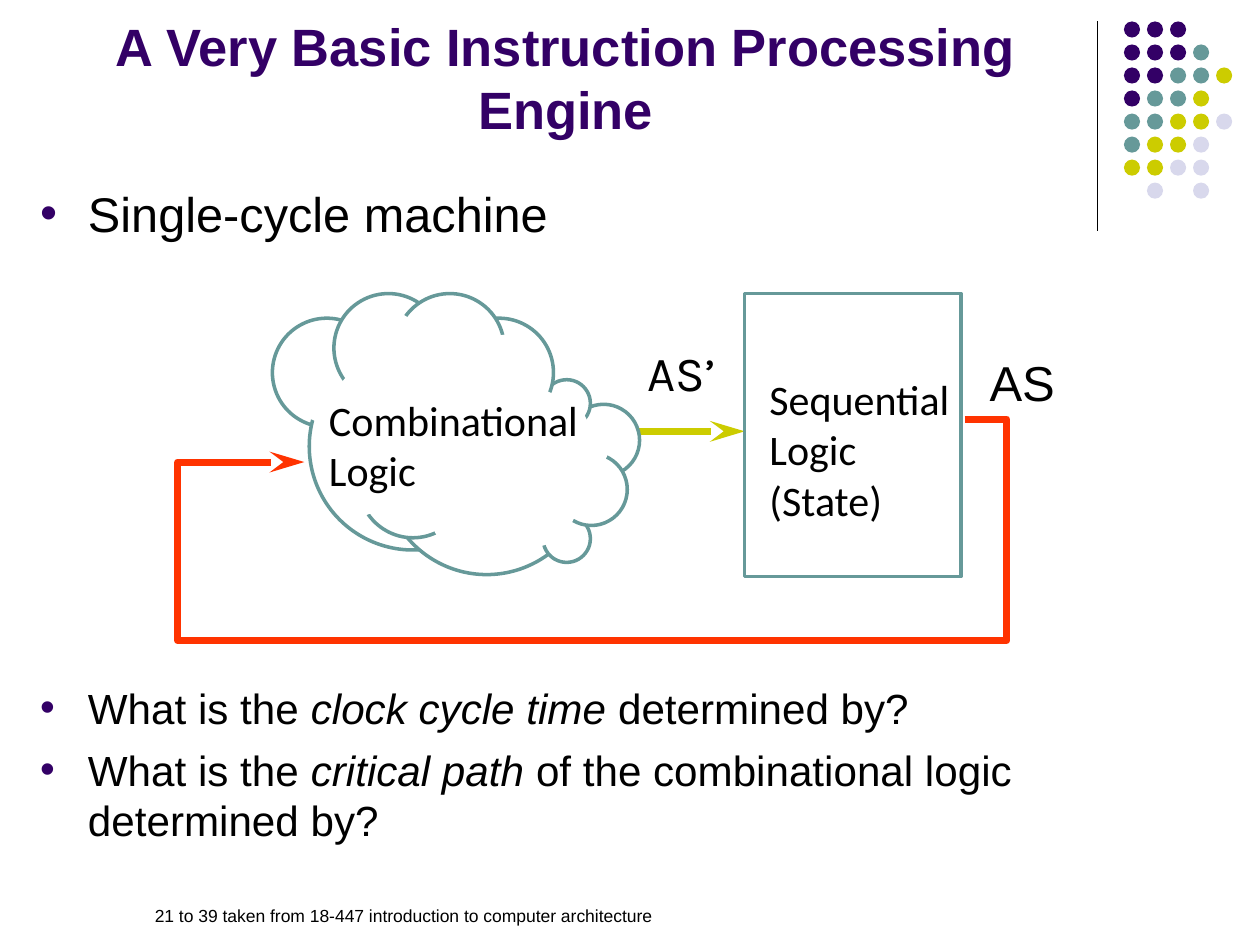
import pptx
import pptx.dml.color
import pptx.enum.shapes
import pptx.enum.text
import pptx.oxml
import pptx.oxml.ns
import pptx.util

WIDTH, HEIGHT = 10, 7.5
PURPLE, TEAL, LIME, LILAC = "330066", "669999", "CCCC00", "D8D8EC"
BLACK, WHITE, RED = "000000", "FFFFFF", "FF3300"
DOTS = ["PPP", "PPPT", "PPTTY", "PTTY", "TTYYL", "TYYL", "YYLL", " L L"]
DOT_COLORS = {"P": PURPLE, "T": TEAL, "Y": LIME, "L": LILAC}
DIAGRAM_COLS = 67.4
BACK_PUFFS = [(0, 2, 9), (3, 4, 17)]
FRONT_PUFFS = [(9, 6, 17), (24, 9, 6), (22, 18, 4), (22, 7, 4), (23, 13, 6),
               (5, 0, 9), (14, 2, 9), (10, 0, 9), (7, 11, 9)]
NECK = [(5.3, 6), (2.4, 9.9), (3.8, 10.5), (5.8, 6.4)]
CORE = [(10.3, 1.5), (14.3, 3.9), (19.2, 3.3), (22.3, 7.9), (23.1, 8.3), (25.3, 9.7),
        (25.9, 11), (27.3, 13), (27, 13.7), (23.6, 20), (21.3, 20.7), (13.6, 20.1),
        (13, 19), (7.9, 17.9), (7, 18.3), (5, 8)]
FEEDBACK = [(64, 10.2), (67.4, 10.2), (67.4, 28.2), (0, 28.2), (0, 13.7), (10.3, 13.7)]


def rgb(value):
    """Turn a hex string into a colour."""
    return pptx.dml.color.RGBColor.from_string(value)


def inches(*values):
    """Turn inch values into lengths."""
    return [pptx.util.Inches(v) for v in values]


def cells(box, cell, x, y, w=0, h=0):
    """Place a rectangle given in grid cells inside a box."""
    return box[0] + x * cell, box[1] + y * cell, w * cell, h * cell


def add_xml(parent, tag, **attrs):
    """Append a drawing element with attributes."""
    el = pptx.oxml.parse_xml(f"<a:{tag} {pptx.oxml.ns.nsdecls('a')}/>")
    for name, value in attrs.items():
        el.set(name, value)
    parent.append(el)
    return el


def style(sp, fill=None, line=None, width=2):
    """Set fill and outline without a shadow."""
    sp.shadow.inherit = False
    for part, color in ((sp.fill, fill), (sp.line.fill, line)):
        if color:
            part.solid()
            part.fore_color.rgb = rgb(color)
        else:
            part.background()
    if line:
        sp.line.width = pptx.util.Pt(width)


def add_shape(s, kind, box, **look):
    """Add a styled preset shape."""
    style(s.shapes.add_shape(kind, *inches(*box)), **look)


def add_path(s, points, closed, **look):
    """Add a styled outline through points in inches."""
    start, *rest = [tuple(inches(*p)) for p in points]
    fb = s.shapes.build_freeform(*start)
    fb.add_line_segments(rest, close=closed)
    sp = fb.convert_to_shape()
    style(sp, **look)
    return sp


def add_line(s, start, end, color, width):
    """Add a straight connector without a shadow."""
    kind = pptx.enum.shapes.MSO_CONNECTOR.STRAIGHT
    sp = s.shapes.add_connector(kind, *inches(*start, *end))
    sp.line.color.rgb = rgb(color)
    sp.line.width = pptx.util.Pt(width)
    add_xml(sp._element.spPr, "effectLst")
    return sp


def add_arrowhead(sp):
    """Give a line round joins and a long stealth head at its end."""
    ln = sp.line._get_or_add_ln()
    add_xml(ln, "round")
    add_xml(ln, "tailEnd", type="stealth", w="med", len="lg")


def add_text(s, box, paragraphs, size, font="Arial", color=BLACK, wrap=True, bold=False,
             align="LEFT", anchor="TOP", bullet=False, gap=0):
    """Write paragraphs, each a list of runs that alternate upright and italic."""
    tf = s.shapes.add_textbox(*inches(*box)).text_frame
    frame = {"word_wrap": wrap, "vertical_anchor": pptx.enum.text.MSO_ANCHOR[anchor]}
    for name, value in frame.items():
        setattr(tf, name, value)
    for i, runs in enumerate(paragraphs):
        p = tf.paragraphs[0] if i == 0 else tf.add_paragraph()
        p.alignment = pptx.enum.text.PP_ALIGN[align]
        p.space_before = pptx.util.Pt(gap if i else 0)
        if bullet:
            add_bullet(p)
        for j, text in enumerate(runs):
            r = p.add_run()
            r.text = text
            look = {"name": font, "size": pptx.util.Pt(size), "bold": bold, "italic": j % 2 == 1}
            for name, value in look.items():
                setattr(r.font, name, value)
            r.font.color.rgb = rgb(color)


def add_bullet(p):
    """Give a paragraph a hanging purple bullet."""
    pPr = p._p.get_or_add_pPr()
    indent = pptx.util.Inches(0.38)
    pPr.set("marL", str(indent))
    pPr.set("indent", str(-indent))
    add_xml(add_xml(pPr, "buClr"), "srgbClr", val=PURPLE)
    add_xml(pPr, "buFont", typeface="Arial")
    add_xml(pPr, "buChar", char="•")


def dot_ornament(s, box):
    """Draw the rule and the dot grid beside it."""
    x, y, w, h = box
    add_line(s, (x, y), (x, y + h), BLACK, 0.75)
    pitch = w / 5.8
    for row, codes in enumerate(DOTS):
        for col, code in enumerate(codes):
            if code in DOT_COLORS:
                dot = cells(box, pitch, col + 1.15, row, 0.7, 0.7)
                add_shape(s, pptx.enum.shapes.MSO_SHAPE.OVAL, dot, fill=DOT_COLORS[code])


def cloud(s, box, cell):
    """Draw a cloud of outlined puffs whose inner lines are covered."""
    for puffs, cover in ((BACK_PUFFS, NECK), (FRONT_PUFFS, CORE)):
        for x, y, size in puffs:
            puff = cells(box, cell, x, y, size - 0.15, size - 0.15)
            add_shape(s, pptx.enum.shapes.MSO_SHAPE.OVAL, puff, fill=WHITE, line=TEAL)
        add_path(s, [cells(box, cell, *p)[:2] for p in cover], True, fill=WHITE)


def machine_diagram(s, box):
    """Draw logic, state and the feedback between them."""
    cell = box[2] / DIAGRAM_COLS
    ends = [cells(box, cell, x, 11.2)[:2] for x in (36.7, 46.1)]
    add_arrowhead(add_line(s, *ends, LIME, 4))
    cloud(s, cells(box, cell, 7.7, 0, 30, 23), cell)
    points = [cells(box, cell, *p)[:2] for p in FEEDBACK]
    add_arrowhead(add_path(s, points, False, line=RED, width=4))
    state = cells(box, cell, 46.1, 0, 17.6, 23)
    add_shape(s, pptx.enum.shapes.MSO_SHAPE.RECTANGLE, state, line=TEAL)
    labels = [
        ((37.2, 3.5, 8.5, 5.8), ["AS’"], 28, "Karla"),
        ((65, 4.3, 7.4, 5.8), ["AS"], 28, "Arial"),
        ((47.1, 6, 16.7, 13.3), ["Sequential", "Logic", "(State)"], 24, "Calibri"),
        ((11.3, 7.7, 22.3, 9.2), ["Combinational", "Logic"], 24, "Calibri"),
    ]
    for place, lines, size, font in labels:
        add_text(s, cells(box, cell, *place), [[t] for t in lines], size, font, wrap=False)


def wording(s, box):
    """Write the title, the bullets and the footer as shares of the slide."""
    w, h = box[2:]
    add_text(s, (0.032 * w, 0.01 * h, 0.834 * w, 0.145 * h),
             [["A Very Basic Instruction Processing Engine"]], 30, color=PURPLE,
             bold=True, align="CENTER", anchor="BOTTOM")
    add_text(s, (0.022 * w, 0.188 * h, 0.8 * w, 0.08 * h),
             [["Single-cycle machine"]], 27.8, bullet=True)
    add_text(s, (0.022 * w, 0.715 * h, 0.9 * w, 0.18 * h),
             [["What is the ", "clock cycle time ", "determined by?"],
              ["What is the ", "critical path", " of the combinational logic determined by?"]],
             24.1, bullet=True, gap=6.5)
    add_text(s, (0.113 * w, 0.951 * h, 0.775 * w, 0.036 * h),
             [["21 to 39 taken from 18-447 introduction to computer architecture"]], 10)


def main():
    """Build and save the slide."""
    prs = pptx.Presentation()
    prs.slide_width, prs.slide_height = inches(WIDTH, HEIGHT)
    s = prs.slides.add_slide(prs.slide_layouts[6])
    dot_ornament(s, (8.71, 0.17, 1.06, 1.66))
    wording(s, (0, 0, WIDTH, HEIGHT))
    machine_diagram(s, (1.41, 2.33, 6.58, 2.75))
    prs.save("out.pptx")


if __name__ == "__main__":
    main()
